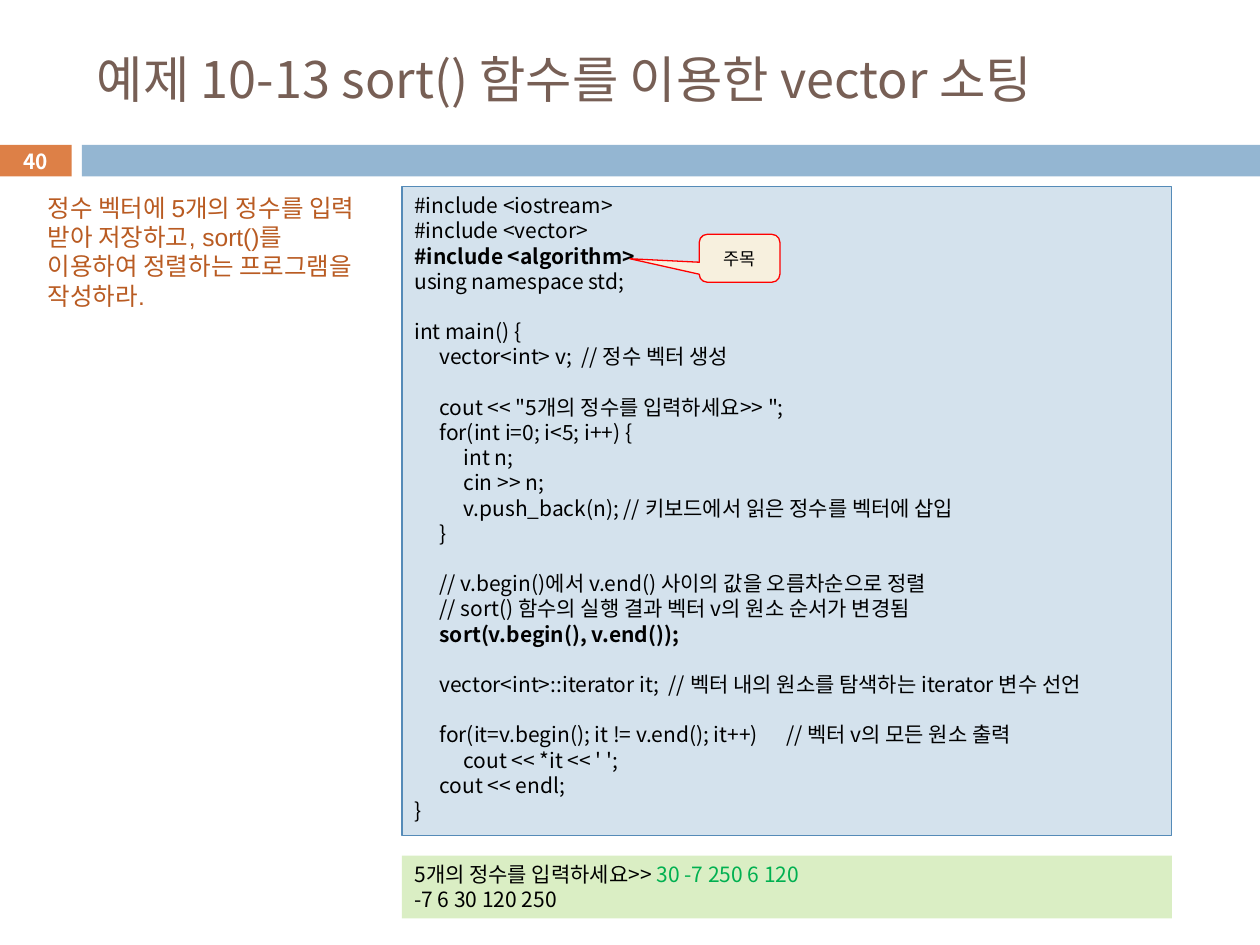
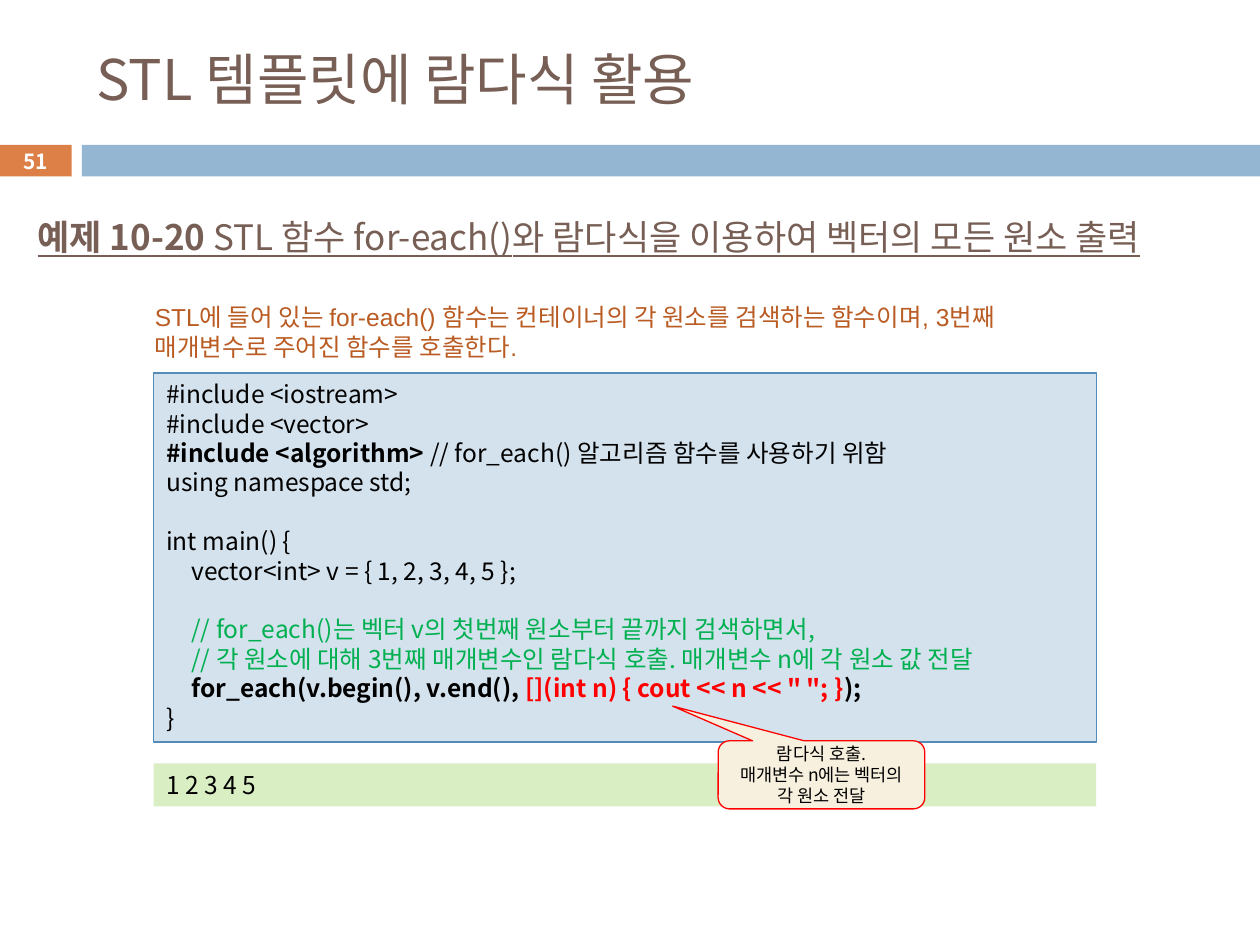
from lxml.etree import SubElement
from pptx import Presentation
from pptx.dml.color import RGBColor
from pptx.enum.shapes import MSO_SHAPE as Shape
from pptx.enum.text import MSO_ANCHOR as Anchor, PP_ALIGN as Align
from pptx.oxml.ns import qn
from pptx.util import Inches, Pt

COLORS = {
    "title": "775F55", "badge": "DD8047", "band": "94B6D2", "white": "FFFFFF",
    "black": "000000", "task": "B95B22", "code": "D4E2ED", "code_line": "558BB8",
    "output": "DAEEC4", "callout": "F7F0DE", "red": "FF0000", "green": "00B050",
}
KOREAN_FONT = "Noto Sans CJK KR"
LINE_FACTOR = 1.2
CODE_TABS = (0.2, 0.39, 2.95)


def color(name):
    """Return the named palette colour."""
    return RGBColor.from_string(COLORS[name])


def add_tabs(paragraph):
    """Give a code paragraph its indent and comment tab stops."""
    tab_list = SubElement(paragraph._p.get_or_add_pPr(), qn("a:tabLst"))
    for position in CODE_TABS:
        SubElement(tab_list, qn("a:tab"), pos=str(Inches(position)), algn="l")


def style_paragraph(paragraph, size, ink, font_name, bold, underline):
    """Set the font that all runs of a paragraph share."""
    font = paragraph.font
    font.size, font.bold, font.underline = Pt(size), bold, underline
    font.color.rgb = color(ink)
    font.name = font_name
    SubElement(font._element, qn("a:ea"), typeface=KOREAN_FONT)


def add_run(paragraph, text, bold=None, ink=None):
    """Add a run with optional emphasis."""
    run = paragraph.add_run()
    run.text = text
    if bold is not None:
        run.font.bold = bold
    if ink:
        run.font.color.rgb = color(ink)


def write(shape, lines, size, ink="black", font_name=KOREAN_FONT, bold=False,
          underline=False, align=Align.LEFT, anchor=Anchor.TOP, tabs=False):
    """Write lines of text or runs; an empty line becomes space before the next."""
    frame = shape.text_frame
    frame.word_wrap = True
    frame.vertical_anchor = anchor
    pitch = Pt(size * LINE_FACTOR)
    paragraph, gap = frame.paragraphs[0], 0
    for line in lines:
        if not line:
            gap += pitch
            continue
        if paragraph.runs:
            paragraph = frame.add_paragraph()
        paragraph.alignment = align
        paragraph.line_spacing = pitch
        paragraph.space_before = gap
        gap = 0
        if tabs:
            add_tabs(paragraph)
        style_paragraph(paragraph, size, ink, font_name, bold, underline)
        for run in [(line,)] if isinstance(line, str) else line:
            add_run(paragraph, *run)


def add_box(slide, box, fill, line=None, kind=Shape.RECTANGLE):
    """Add a filled shape, outlined only when a line colour is given."""
    shape = slide.shapes.add_shape(kind, *map(Inches, box))
    shape.shadow.inherit = False
    shape.fill.solid()
    shape.fill.fore_color.rgb = color(fill)
    if line:
        shape.line.color.rgb = color(line)
        shape.line.width = Pt(0.75)
    else:
        shape.line.fill.background()
    return shape


def add_text(slide, box, lines, size, ink, **style):
    """Add a wrapped text box."""
    write(slide.shapes.add_textbox(*map(Inches, box)), lines, size, ink, **style)


def add_header(slide, title, size, number):
    """Draw the title, the blue band and the page number badge."""
    add_box(slide, (0.65, 1.15, 9.35, 0.25), "band")
    badge = add_box(slide, (0, 1.15, 0.57, 0.25), "badge")
    write(badge, [number], 11.9, "white", bold=True, align=Align.CENTER,
          anchor=Anchor.MIDDLE)
    add_text(slide, (0.67, 0.25, 8.92, 0.74), [title], size, "title",
             anchor=Anchor.MIDDLE)


def add_task(slide, box, text):
    """Add the task description."""
    add_text(slide, box, [text], 14, "task", font_name="Arial")


def add_listing(slide, box, code, output, output_top, output_height, size):
    """Draw the code panel and the output panel under it."""
    left, _, width, _ = box
    write(add_box(slide, box, "code", "code_line"), code, size, tabs=True)
    output_box = (left, output_top, width, output_height)
    write(add_box(slide, output_box, "output"), output, size)


def add_callout(slide, box, tip, lines):
    """Add a speech bubble whose tip is relative to its size."""
    callout = add_box(slide, box, "callout", "red", Shape.ROUNDED_RECTANGULAR_CALLOUT)
    callout.adjustments[0], callout.adjustments[1] = tip
    write(callout, lines, 10, align=Align.CENTER, anchor=Anchor.MIDDLE)


def build_sort_slide(slide):
    """Build the example that sorts a vector."""
    add_header(slide, "예제 10-13 sort() 함수를 이용한 vector 소팅", 28.8, "40")
    code = [
        "#include <iostream>",
        "#include <vector>",
        [("#include <algorithm>", True)],
        "using namespace std;",
        "",
        "int main() {",
        "\tvector<int> v;  // 정수 벡터 생성",
        "",
        "\tcout << \"5개의 정수를 입력하세요>> \";",
        "\tfor(int i=0; i<5; i++) {",
        "\t\tint n;",
        "\t\tcin >> n;",
        "\t\tv.push_back(n); // 키보드에서 읽은 정수를 벡터에 삽입",
        "\t}",
        "",
        "\t// v.begin()에서 v.end() 사이의 값을 오름차순으로 정렬",
        "\t// sort() 함수의 실행 결과 벡터 v의 원소 순서가 변경됨",
        [("\tsort(v.begin(), v.end());", True)],
        "",
        "\tvector<int>::iterator it;  // 벡터 내의 원소를 탐색하는 iterator 변수 선언",
        "",
        "\tfor(it=v.begin(); it != v.end(); it++) \t// 벡터 v의 모든 원소 출력",
        "\t\tcout << *it << ' ';",
        "\tcout << endl;",
        "}",
    ]
    output = [
        [("5개의 정수를 입력하세요>> ",), ("30 -7 250 6 120", None, "green")],
        "-7 6 30 120 250",
    ]
    add_listing(slide, (3.19, 1.48, 6.11, 5.15), code, output, 6.79, 0.5, 12)
    add_callout(slide, (5.55, 1.86, 0.64, 0.38), (-1.36, 0.01), ["주목"])
    add_task(slide, (0.28, 1.48, 2.76, 1.04),
             "정수 벡터에 5개의 정수를 입력 받아 저장하고, sort()를 이용하여 "
             "정렬하는 프로그램을 작성하라.")


def build_lambda_slide(slide):
    """Build the example that passes a lambda to for_each."""
    add_header(slide, "STL 템플릿에 람다식 활용", 32, "51")
    heading = [
        ("예제", True), (" ",), ("10-20", True),
        (" STL 함수 for-each()와 람다식을 이용하여 벡터의 모든 원소 출력",),
    ]
    add_text(slide, (0.2, 1.51, 9.69, 0.74), [heading], 20, "title",
             underline=True, anchor=Anchor.MIDDLE)
    add_task(slide, (1.13, 2.35, 7.58, 0.57),
             "STL에 들어 있는 for-each() 함수는 컨테이너의 각 원소를 검색하는 "
             "함수이며, 3번째 매개변수로 주어진 함수를 호출한다.")
    code = [
        "#include <iostream>",
        "#include <vector>",
        [("#include <algorithm> ", True), ("// for_each() 알고리즘 함수를 사용하기 위함",)],
        "using namespace std;",
        "",
        "int main() {",
        "\tvector<int> v = { 1, 2, 3, 4, 5 };",
        "",
        [("\t// for_each()는 벡터 v의 첫번째 원소부터 끝까지 검색하면서,", None, "green")],
        [("\t// 각 원소에 대해 3번째 매개변수인 람다식 호출. 매개변수 n에 각 원소 값 전달",
          None, "green")],
        [("\tfor_each(v.begin(), v.end(), ", True),
         ("[](int n) { cout << n << \" \"; }", True, "red"), (");", True)],
        "}",
    ]
    add_listing(slide, (1.22, 2.96, 7.48, 2.93), code, ["1 2 3 4 5"], 6.06, 0.34, 14)
    add_callout(slide, (5.7, 5.88, 1.64, 0.54), (-0.72, -1.01),
                ["람다식 호출.", "매개변수 n에는 벡터의 각 원소 전달"])


def main():
    """Build and save the presentation."""
    presentation = Presentation()
    presentation.slide_width, presentation.slide_height = Inches(10), Inches(7.5)
    for build in (build_sort_slide, build_lambda_slide):
        build(presentation.slides.add_slide(presentation.slide_layouts[6]))
    presentation.save("out.pptx")


if __name__ == "__main__":
    main()
